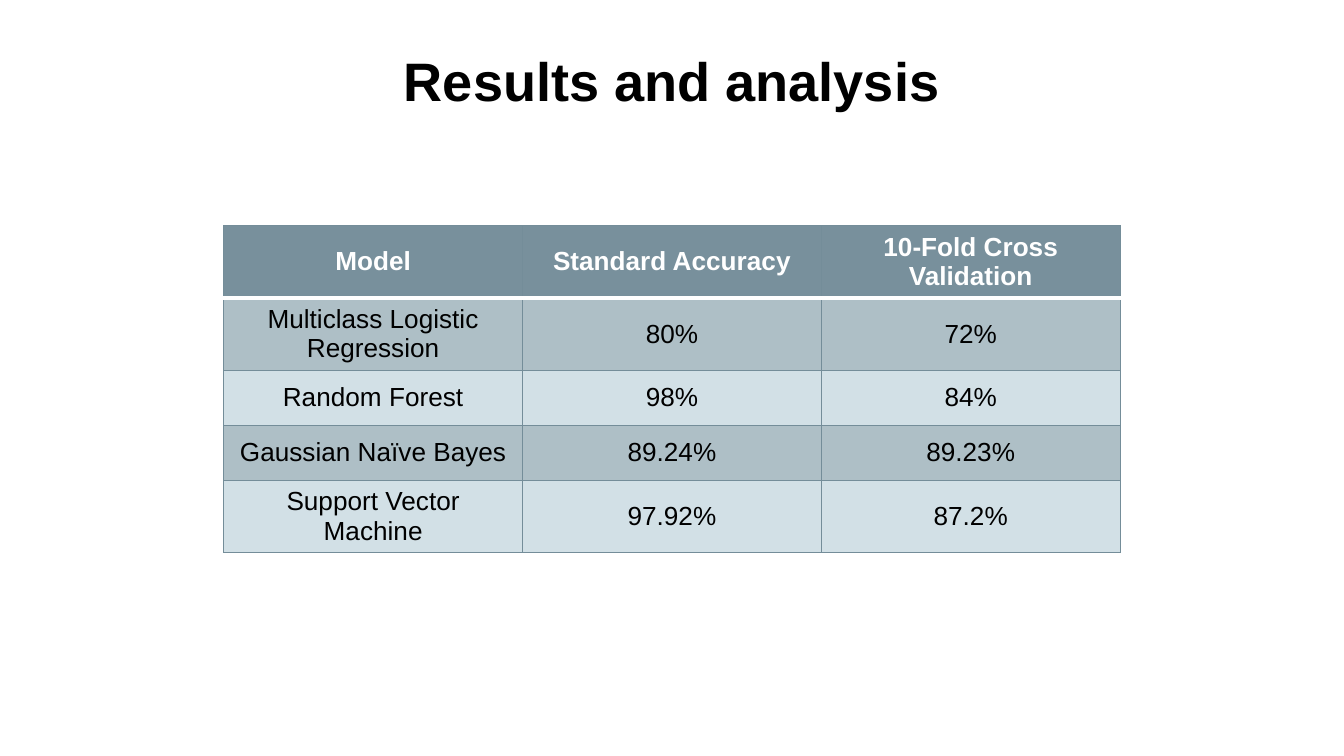
from lxml.etree import SubElement
from pptx import Presentation
from pptx.dml.color import RGBColor
from pptx.enum.text import MSO_ANCHOR, MSO_AUTO_SIZE, PP_ALIGN
from pptx.oxml.ns import qn
from pptx.util import Inches, Pt

BLACK = RGBColor(0x00, 0x00, 0x00)
WHITE = RGBColor(0xFF, 0xFF, 0xFF)
HEADER = RGBColor(0x78, 0x90, 0x9C)
BORDER = RGBColor(0x74, 0x8D, 0x99)
DARK_BAND = RGBColor(0xAE, 0xBF, 0xC6)
LIGHT_BAND = RGBColor(0xD2, 0xE0, 0xE6)

SLIDE_WIDTH = 10
SLIDE_HEIGHT = SLIDE_WIDTH * 9 / 16
TABLE_WIDTH = 6.67

RESULTS = [
    ("Model", "Standard Accuracy", "10-Fold Cross Validation"),
    ("Multiclass Logistic Regression", "80%", "72%"),
    ("Random Forest", "98%", "84%"),
    ("Gaussian Naïve Bayes", "89.24%", "89.23%"),
    ("Support Vector Machine", "97.92%", "87.2%"),
]


class SlideBuilder:
    font_name = "Arial"

    def __init__(self, slide):
        self.slide = slide

    def format_text(self, text_frame, size, color, bold):
        for paragraph in text_frame.paragraphs:
            paragraph.alignment = PP_ALIGN.CENTER
            font = paragraph.font
            font.name, font.size, font.bold = self.font_name, Pt(size), bold
            font.color.rgb = color

    def title(self, text, left, top, width, height):
        shape = self.slide.shapes.title
        shape.left, shape.top = Inches(left), Inches(top)
        shape.width, shape.height = Inches(width), Inches(height)
        text_frame = shape.text_frame
        text_frame.text = text
        text_frame.auto_size = MSO_AUTO_SIZE.NONE
        text_frame.vertical_anchor = MSO_ANCHOR.TOP
        text_frame.margin_top = text_frame.margin_bottom = Inches(0.1)
        self.format_text(text_frame, 29, BLACK, True)

    def border(self, cell, side, color, width):
        line = SubElement(cell._tc.get_or_add_tcPr(), qn(f"a:ln{side}"), w=str(Pt(width)))
        fill = SubElement(line, qn("a:solidFill"))
        SubElement(fill, qn("a:srgbClr"), val=str(color))

    def table(self, rows, left, top, width, row_height):
        shape = self.slide.shapes.add_table(
            len(rows), len(rows[0]), Inches(left), Inches(top),
            Inches(width), Inches(row_height * len(rows)))
        for row_index, values in enumerate(rows):
            for column_index, value in enumerate(values):
                cell = shape.table.cell(row_index, column_index)
                self.cell(cell, value, row_index)

    def cell(self, cell, value, row_index):
        is_header = row_index == 0
        cell.text = value
        cell.vertical_anchor = MSO_ANCHOR.MIDDLE
        self.format_text(cell.text_frame, 14, WHITE if is_header else BLACK, is_header)
        # A white rule separates the header from the first row
        white_side = {0: "B", 1: "T"}.get(row_index)
        for side in "LRTB":
            is_rule = side == white_side
            self.border(cell, side, WHITE if is_rule else BORDER, 2 if is_rule else 0.75)
        cell.fill.solid()
        band = DARK_BAND if row_index % 2 else LIGHT_BAND
        cell.fill.fore_color.rgb = HEADER if is_header else band


def main():
    presentation = Presentation()
    presentation.slide_width = Inches(SLIDE_WIDTH)
    presentation.slide_height = Inches(SLIDE_HEIGHT)
    title_only = presentation.slide_layouts[5]
    builder = SlideBuilder(presentation.slides.add_slide(title_only))

    # Title
    builder.title("Results and analysis", 0.34, 0.25, 9.32, 0.63)

    # Accuracy of each model, centred on the slide
    table_left = (SLIDE_WIDTH - TABLE_WIDTH) / 2
    builder.table(RESULTS, table_left, 1.68, TABLE_WIDTH, 0.41)

    presentation.save("out.pptx")


if __name__ == "__main__":
    main()
